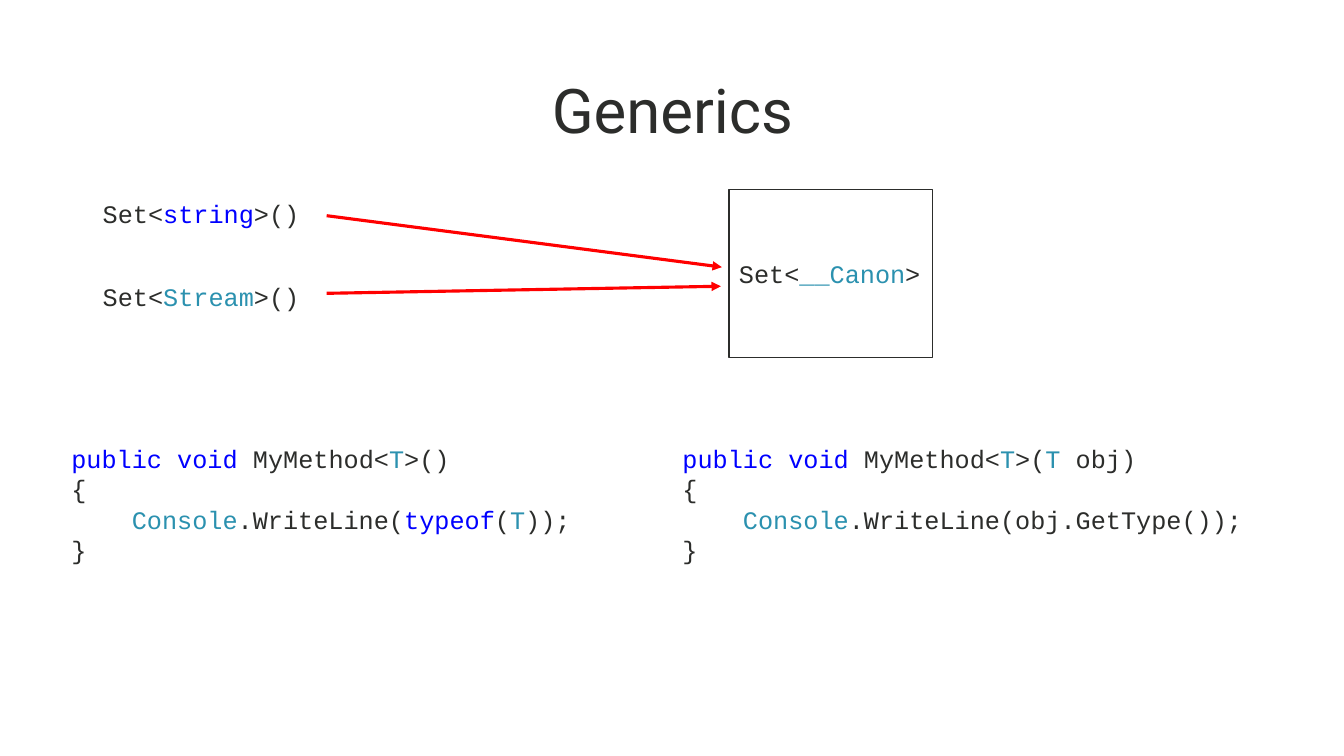
from lxml import etree
from pptx import Presentation
from pptx.dml.color import RGBColor
from pptx.enum import shapes, text
from pptx.oxml import ns
from pptx.util import Inches, Pt

COLORS = {
    "ink": "2C2D2B",
    "keyword": "0000FF",
    "type": "2B91AF",
    "arrow": "FF0000",
    "paper": "FFFFFF",
}
MONO = "Courier New"

SIGNATURE = [("public void ", "keyword"), ("MyMethod<", "ink"), ("T", "type")]
CONSOLE = [("    ", "ink"), ("Console", "type")]


def rgb(name):
    return RGBColor.from_string(COLORS[name])


def method(parameters, body):
    return [SIGNATURE + parameters, [("{", "ink")], CONSOLE + body, [("}", "ink")]]


def write(tf, lines, font=MONO, size=18, align=text.PP_ALIGN.LEFT,
          anchor=text.MSO_ANCHOR.TOP, spacing=1.0):
    tf.word_wrap = True
    tf.vertical_anchor = anchor
    for i, line in enumerate(lines):
        p = tf.paragraphs[0] if i == 0 else tf.add_paragraph()
        p.alignment = align
        p.line_spacing = spacing
        for content, color in line:
            r = p.add_run()
            r.text = content
            r.font.name = font
            r.font.size = Pt(size)
            r.font.color.rgb = rgb(color)


def add_text(s, box, lines, **style):
    sp = s.shapes.add_textbox(*map(Inches, box))
    write(sp.text_frame, lines, **style)


def add_box(s, box, lines):
    sp = s.shapes.add_shape(shapes.MSO_SHAPE.RECTANGLE, *map(Inches, box))
    sp.shadow.inherit = False
    sp.fill.solid()
    sp.fill.fore_color.rgb = rgb("paper")
    sp.line.color.rgb = rgb("ink")
    sp.line.width = Pt(1)
    write(sp.text_frame, lines, anchor=text.MSO_ANCHOR.MIDDLE)


def add_arrow(s, start, end):
    c = s.shapes.add_connector(shapes.MSO_CONNECTOR.STRAIGHT,
                               *map(Inches, start + end))
    c.line.color.rgb = rgb("arrow")
    c.line.width = Pt(2.25)
    etree.SubElement(c.line._get_or_add_ln(), ns.qn("a:tailEnd"), type="triangle")
    etree.SubElement(c._element.spPr, ns.qn("a:effectLst"))


def main():
    prs = Presentation()
    prs.slide_width, prs.slide_height = Inches(13.33), Inches(7.5)
    s = prs.slides.add_slide(prs.slide_layouts[6])

    add_text(s, (0.92, 0.4, 11.5, 1.45), [[("Generics", "ink")]],
             font="Roboto", size=44, align=text.PP_ALIGN.CENTER,
             anchor=text.MSO_ANCHOR.MIDDLE, spacing=0.9)

    add_box(s, (7.23, 1.88, 2.02, 1.67),
            [[("Set<", "ink"), ("__Canon", "type"), (">", "ink")]])
    add_arrow(s, (3.24, 2.14), (7.16, 2.65))
    add_arrow(s, (3.24, 2.91), (7.15, 2.84))

    for top, width, name, color in ((1.92, 6.67, "string", "keyword"),
                                    (2.74, 6.29, "Stream", "type")):
        add_text(s, (0.92, top, width, 0.4),
                 [[("Set<", "ink"), (name, color), (">()", "ink")]])

    add_text(s, (0.61, 4.35, 5.27, 1.31), method(
        [(">()", "ink")],
        [(".WriteLine(", "ink"), ("typeof", "keyword"), ("(", "ink"),
         ("T", "type"), ("));", "ink")]))
    add_text(s, (6.67, 4.35, 5.85, 1.31), method(
        [(">(", "ink"), ("T", "type"), (" obj)", "ink")],
        [(".WriteLine(obj.GetType());", "ink")]))

    prs.save("out.pptx")


if __name__ == "__main__":
    main()
